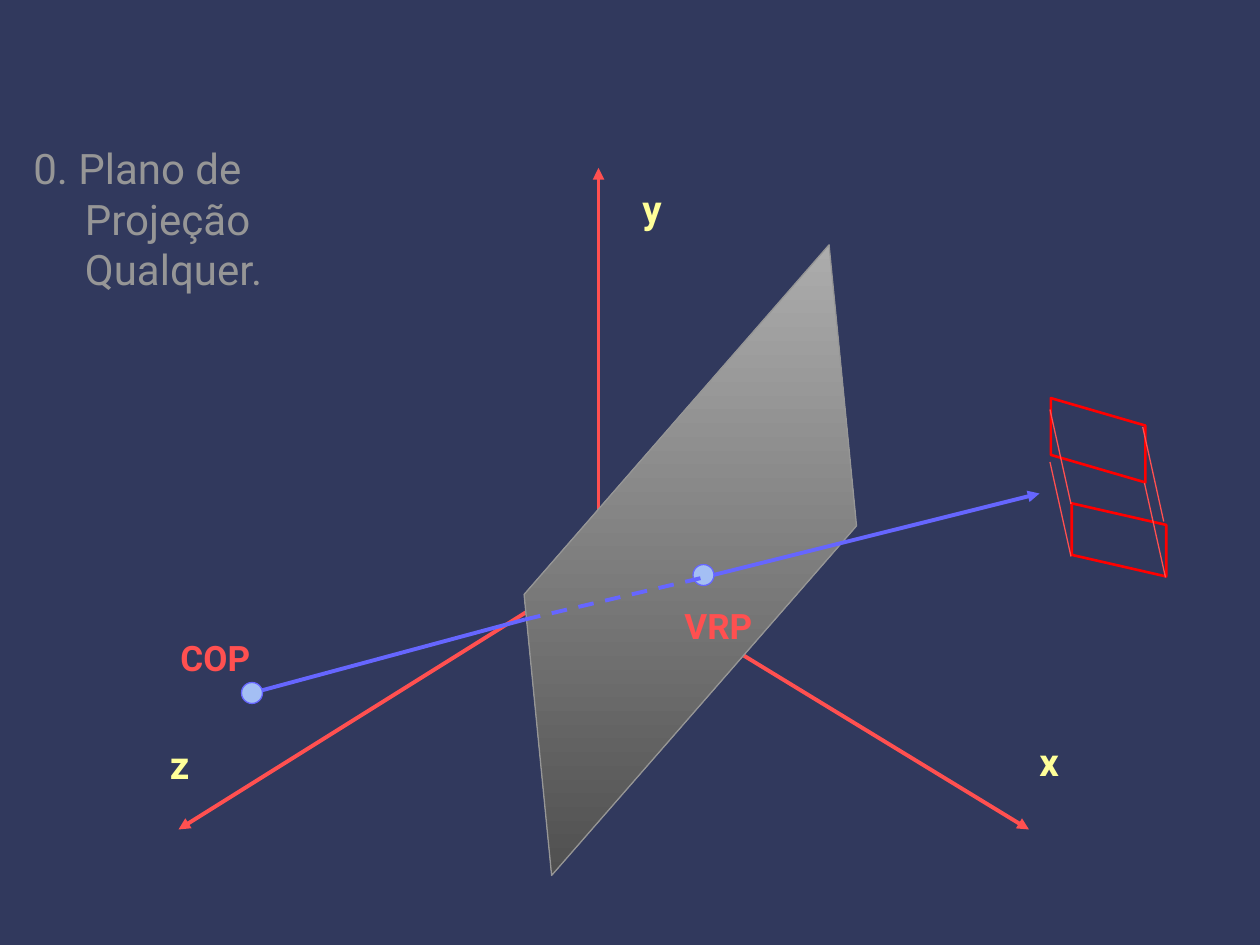
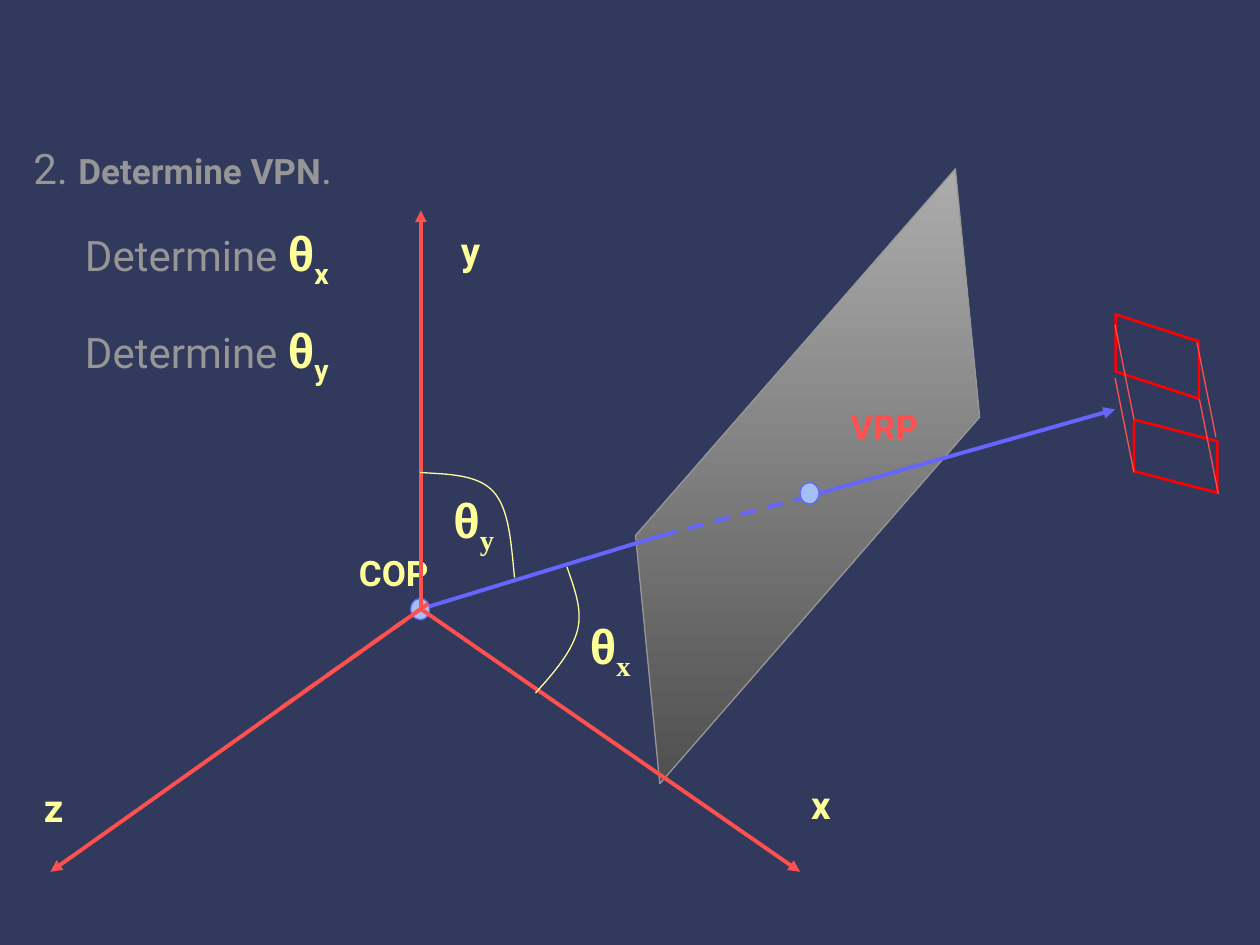
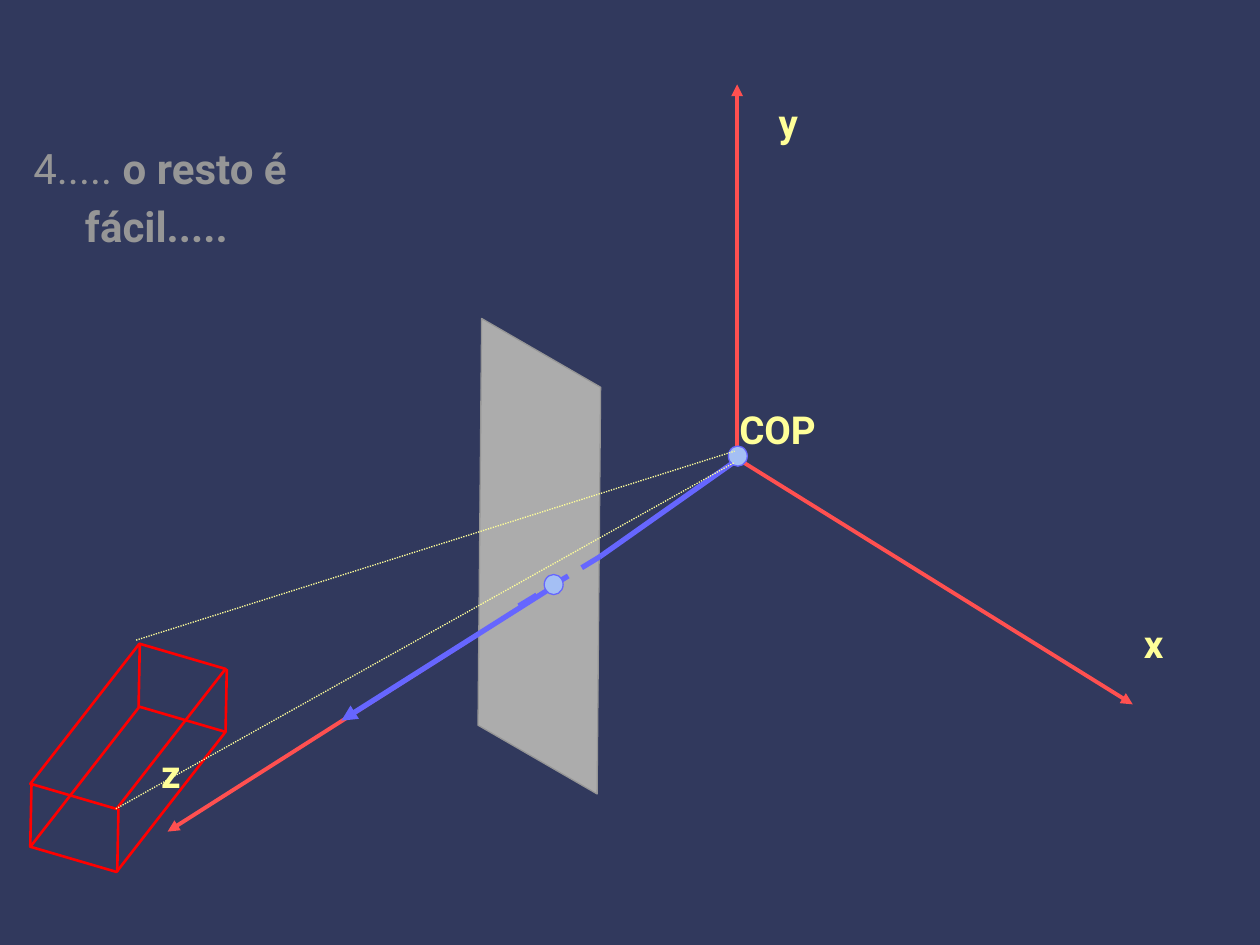
"""Builds three slides that move a projection plane to the standard viewing position."""
from lxml import etree
from pptx import Presentation
from pptx.dml.color import RGBColor
from pptx.enum import dml, shapes, text
from pptx.oxml.ns import qn
from pptx import util as u

NAVY = RGBColor(0x31, 0x39, 0x5D)
GRAY = RGBColor(0x96, 0x96, 0x96)
SILVER = RGBColor(0xAC, 0xAC, 0xAC)
CHARCOAL = RGBColor(0x50, 0x50, 0x50)
YELLOW = RGBColor(0xFF, 0xFF, 0x99)
CORAL = RGBColor(0xFF, 0x50, 0x50)
RED = RGBColor(0xFF, 0x00, 0x00)
BLUE = RGBColor(0x66, 0x66, 0xFF)
SKY = RGBColor(0xA4, 0xBF, 0xF4)
DASH = dml.MSO_LINE.DASH
DOT = dml.MSO_LINE.ROUND_DOT
FONT = "Roboto"


class Scene:
    """Holds the presentation style and draws on the current slide."""

    def __init__(self):
        self.deck = Presentation()
        self.deck.slide_width, self.deck.slide_height = u.Pt(720), u.Pt(540)
        background = self.deck.slide_master.background.fill
        background.solid()
        background.fore_color.rgb = NAVY

    def new_slide(self):
        self.shapes = self.deck.slides.add_slide(self.deck.slide_layouts[6]).shapes

    def style_font(self, font, size, color, bold, name=FONT):
        font.size, font.bold, font.name = u.Pt(size), bold, name
        font.color.rgb = color

    def text_frame(self, left, top, width, height, wrap=False):
        frame = self.shapes.add_textbox(*map(u.Pt, (left, top, width, height))).text_frame
        frame.word_wrap = wrap
        frame.auto_size = text.MSO_AUTO_SIZE.SHAPE_TO_FIT_TEXT
        return frame

    def label(self, words, left, top, color=YELLOW, size=22, width=28):
        paragraph = self.text_frame(left, top, width, size * 1.54).paragraphs[0]
        paragraph.text = words
        self.style_font(paragraph.font, size, color, True)

    def add_run(self, paragraph, words, size=24, color=GRAY, bold=False, name=FONT, subscript=False):
        run = paragraph.add_run()
        run.text = words
        self.style_font(run.font, size, color, bold, name)
        if subscript:
            run._r.get_or_add_rPr().set("baseline", "-25000")

    def theta(self, paragraph, axis, name):
        self.add_run(paragraph, "θ", 28, YELLOW, True, "Arial")
        self.add_run(paragraph, axis, 28, YELLOW, True, name, subscript=True)

    def angle_label(self, axis, left, top):
        self.theta(self.text_frame(left, top, 39, 41).paragraphs[0], axis, "Times New Roman")

    def step(self, height, runs, angles=()):
        frame = self.text_frame(12, 78, 211, height, wrap=True)
        paragraphs = [frame.paragraphs[0]] + [frame.add_paragraph() for _ in angles]
        for paragraph in paragraphs:
            properties = paragraph._p.get_or_add_pPr()
            properties.set("marL", str(u.Pt(29.5)))
            properties.set("indent", str(u.Pt(-29.5)))
        for words, size, bold in runs:
            self.add_run(paragraphs[0], words, size, bold=bold)
        for paragraph, axis in zip(paragraphs[1:], angles):
            paragraph.space_before = u.Pt(17)
            self.add_run(paragraph, "\tDetermine ")
            self.theta(paragraph, axis, FONT)

    def line(self, start, end, color, width=2.25, dash=None, arrow=False):
        connector = self.shapes.add_connector(
            shapes.MSO_CONNECTOR.STRAIGHT, *map(u.Pt, (*start, *end)))
        connector.line.color.rgb = color
        connector.line.width = u.Pt(width)
        if dash:
            connector.line.dash_style = dash
        if arrow:
            etree.SubElement(connector.line._get_or_add_ln(), qn("a:tailEnd"), type="triangle")
        etree.SubElement(connector.element.spPr, qn("a:effectLst"))

    def axes(self, origin, ends, labels, z_start=None):
        for axis, end, place in zip("xyz", ends, labels):
            start = z_start if z_start and axis == "z" else origin
            self.line(start, end, CORAL, arrow=True)
            self.label(axis, *place)

    def outline(self, shape, color, width):
        shape.shadow.inherit = False
        shape.line.color.rgb = color
        shape.line.width = u.Pt(width)

    def point(self, left, top, width=12, height=12):
        dot = self.shapes.add_shape(shapes.MSO_SHAPE.OVAL, *map(u.Pt, (left, top, width, height)))
        dot.fill.solid()
        dot.fill.fore_color.rgb = SKY
        self.outline(dot, BLUE, 0.75)

    def parallelogram(self, box, rotation, slant, color, width):
        figure = self.shapes.add_shape(shapes.MSO_SHAPE.PARALLELOGRAM, *map(u.Pt, box))
        figure.adjustments[0] = slant
        figure.rotation = rotation
        figure.fill.background()
        self.outline(figure, color, width)
        return figure

    def shaded_plane(self, left, top, height):
        plane = self.parallelogram((left, top, 375.8, height), 311.1, 0.943, GRAY, 0.75)
        plane.fill.gradient()
        plane.fill.gradient_angle = 270
        for stop, color in zip(plane.fill.gradient_stops, (SILVER, CHARCOAL)):
            stop.color.rgb = color
        plane.element.spPr.find(qn("a:gradFill")).set("rotWithShape", "0")

    def facing_plane(self, box):
        plane = self.parallelogram(box, 30, 0.593, GRAY, 0.75)
        plane.fill.solid()
        plane.fill.fore_color.rgb = SILVER
        plane.element.spPr.find(qn("a:xfrm")).set("flipV", "1")

    def solid(self, faces, rotation, slants, corners, depth, color, width):
        for face, slant in zip(faces, slants):
            self.parallelogram(face, rotation, slant, RED, 1.5)
        for x, y in corners:
            self.line((x, y), (x + depth[0], y + depth[1]), color, width)

    def distant_solid(self, faces, corners, depth):
        self.solid(faces, 90, (0.326, 0.295), corners, depth, CORAL, 0.75)

    def angle_arc(self, start, *points):
        builder = self.shapes.build_freeform(*start, scale=u.Pt(1))
        builder.add_line_segments(points, close=False)
        arc = builder.convert_to_shape()
        arc.fill.background()
        self.outline(arc, YELLOW, 0.75)
        segments = list(arc.element.iter(qn("a:lnTo")))
        for first in range(0, len(segments), 3):
            curve = etree.Element(qn("a:cubicBezTo"))
            segments[first].addprevious(curve)
            for segment in segments[first:first + 3]:
                curve.append(segment[0])
                segment.getparent().remove(segment)


def any_plane(scene):
    scene.new_slide()
    scene.axes((342, 324), ((588, 474), (342, 96), (102, 474)),
               ((586.8, 418.3), (360, 102.2), (90, 419.8)))
    scene.step(93.6, [("0. Plano de Projeção Qualquer.", 24, False)])
    scene.shaded_plane(206.6, 261.4, 117.4)
    scene.line((402, 330), (594, 282), BLUE, arrow=True)
    scene.point(396, 322.6)
    scene.line((300, 354), (402, 330), BLUE, dash=DASH)
    scene.line((144, 396), (300, 354), BLUE)
    scene.label("VRP", 384, 342, CORAL, 20, 56)
    scene.distant_solid(((603.4, 224.6, 48.2, 54), (618.5, 281.5, 41.8, 54)),
                        ((653, 244), (600, 264), (654, 276), (600, 234)), (12, 54))
    scene.label("COP", 96, 360, CORAL, 20, 56)
    scene.point(138, 390)


def plane_normal(scene):
    cop = (240.5, 348)
    scene.new_slide()
    scene.step(143.3, [("2. ", 24, False), ("Determine VPN", 20, True), (".", 24, False)], "xy")
    scene.angle_label("x", 330, 348)
    scene.angle_label("y", 252, 276)
    scene.shaded_plane(273.6, 220.3, 103.7)
    scene.line((468, 282), (637.2, 234), BLUE, arrow=True)
    scene.line((378, 306), (468, 282), BLUE, dash=DASH)
    scene.label("VRP", 478.8, 228.2, CORAL, 20, 56)
    scene.line(cop, (378, 306), BLUE)
    scene.distant_solid(((637.2, 180, 48.2, 47.5), (650.9, 236.9, 41.8, 47.5)),
                        ((684, 195.8), (637.2, 216), (685.4, 228.2), (637.2, 185.8)), (10.8, 54))
    scene.label("COP", 198, 311.8, YELLOW, 20, 56)
    scene.point(234.7, 342, 10.8, 12.2)
    scene.axes(cop, ((457.2, 498.2), (240.5, 120.2), (28.8, 498.2)),
               ((456.5, 442.8), (256.3, 126), (18, 444.2)))
    scene.line(cop, (240.5, 240), CORAL, dash=DASH)
    scene.line((244.8, 344.9), (155.5, 408.2), CORAL, dash=DASH)
    scene.point(457.2, 275.8, 10.8, 12.2)
    scene.angle_arc((240, 270), (256, 271), (273, 271), (282, 281),
                    (291, 291), (292, 310), (294, 330))
    scene.angle_arc((324, 324), (328, 336), (333, 348), (330, 360),
                    (327, 372), (317, 384), (306, 396))


def aligned_plane(scene):
    vrp = (316.8, 334.8)
    scene.new_slide()
    scene.step(64.8, [("4..... ", 24, False), ("o resto é fácil.....", 24, True), (" ", 28, True)])
    scene.facing_plane((211.7, 216.7, 193, 202.3))
    scene.axes((421.2, 262), ((647.3, 402.5), (421.2, 48.2), (95.8, 475.2)),
               ((646.6, 350.6), (437.8, 53.3), (85, 424.8)), vrp)
    scene.line((342.7, 318.2), (291.6, 349.2), BLUE, 3, DASH)
    scene.line((421.2, 262.8), (342.7, 318.2), BLUE, 3)
    scene.line((321.1, 331.9), (228.2, 391), CORAL, dash=DASH)
    scene.line(vrp, (195.1, 411.8), BLUE, 3, arrow=True)
    scene.solid([(28.8, top, 88.6, 94.3) for top in (367.9, 403.9)], 196.3, (0.421, 0.421),
                ((129.6, 382.3), (67.7, 462.2), (79.9, 367.9), (18, 447.8)), (-0.7, 36), RED, 1.5)
    scene.label("COP", 415.4, 228.2, width=60.5)
    scene.point(311, 328.3, 10.8, 11.5)
    scene.point(416.2, 254.9, 10.8, 11.5)
    scene.line((77.8, 365.8), (419.8, 257.8), YELLOW, 0.75, DOT)
    scene.line((66.2, 462.2), (419.8, 264.2), YELLOW, 0.75, DOT)


def main():
    scene = Scene()
    any_plane(scene)
    plane_normal(scene)
    aligned_plane(scene)
    scene.deck.save("out.pptx")


if __name__ == "__main__":
    main()
